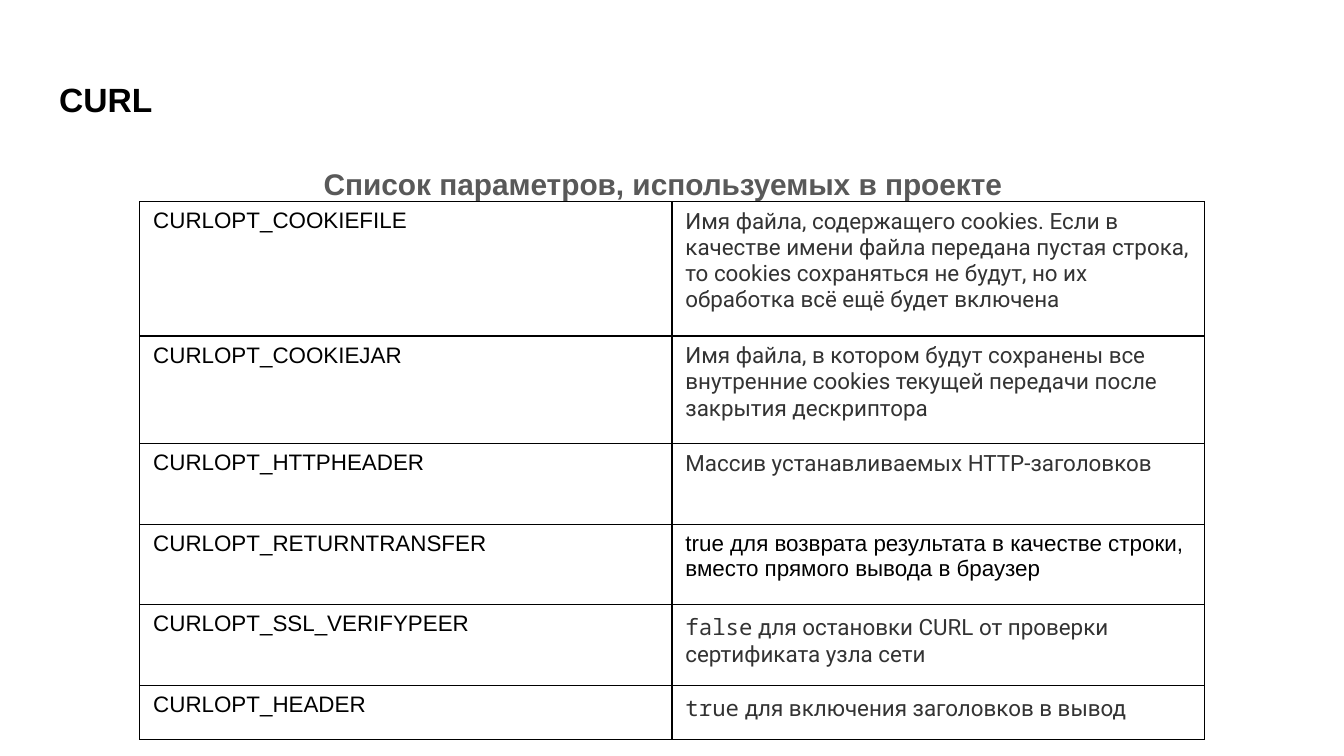
"""Build the CURL slide with its table of project options."""
from lxml import etree
from pptx import Presentation
from pptx import util as u
from pptx.dml.color import RGBColor
from pptx.enum import text
from pptx.oxml import ns

COLORS = {"black": "000000", "dark": "333333", "gray": "595959"}
BODY = ("Roboto", "dark")
CODE = ("Noto Sans Mono", "dark")
PLAIN = ("Arial", "black")

ROWS = [
    (1, "CURLOPT_COOKIEFILE", [(
        "Имя файла, содержащего cookies. Если в качестве имени файла передана "
        "пустая строка, то cookies сохраняться не будут, но их обработка всё "
        "ещё будет включена", BODY)]),
    (0.8, "CURLOPT_COOKIEJAR", [(
        "Имя файла, в котором будут сохранены все внутренние cookies текущей "
        "передачи после закрытия дескриптора", BODY)]),
    (0.6, "CURLOPT_HTTPHEADER", [("Массив устанавливаемых HTTP-заголовков", BODY)]),
    (0.6, "CURLOPT_RETURNTRANSFER", [(
        "true для возврата результата в качестве строки, вместо прямого "
        "вывода в браузер", PLAIN)]),
    (0.6, "CURLOPT_SSL_VERIFYPEER", [
        ("false", CODE),
        (" для остановки CURL от проверки сертификата узла сети", BODY)]),
    (0.4, "CURLOPT_HEADER", [
        ("true", CODE), (" для включения заголовков в вывод", BODY)]),
]


def add_run(para, words, face, color, size, bold=False):
    run = para.add_run()
    run.text = words
    font = run.font
    font.name, font.size, font.bold = face, u.Pt(size), bold
    font.color.rgb = RGBColor.from_string(COLORS[color])


def set_frame(shape, left, top, width, height):
    shape.left, shape.top = u.Inches(left), u.Inches(top)
    shape.width, shape.height = u.Inches(width), u.Inches(height)
    frame = shape.text_frame
    frame.word_wrap = True
    frame.auto_size = text.MSO_AUTO_SIZE.NONE
    frame.vertical_anchor = text.MSO_ANCHOR.TOP
    frame.margin_left = frame.margin_right = u.Inches(0.1)
    frame.margin_top = frame.margin_bottom = u.Inches(0.1)
    para = frame.paragraphs[0]
    para.alignment = text.PP_ALIGN.LEFT
    return para


prs = Presentation()
prs.slide_width = u.Inches(10)
prs.slide_height = prs.slide_width * 9 // 16
slide = prs.slides.add_slide(prs.slide_layouts[5])

para = set_frame(slide.shapes.title, 0.34, 0.49, 9.32, 1.14)
add_run(para, "CURL", "Arial", "black", 18, True)

box = slide.shapes.add_textbox(0, 0, 0, 0)
para = set_frame(box, 2.31, 1.09, 5.38, 3.36)
para.line_spacing = 1.15
para.space_after = u.Pt(12)
add_run(para, "Список параметров, используемых в проекте", "Arial", "gray", 16, True)

table = slide.shapes.add_table(
    len(ROWS), 2, u.Inches(1.04), u.Inches(1.5), u.Inches(7.92), u.Inches(4)).table
table.first_row = table.horz_banding = False

for row, (height, name, about) in zip(table.rows, ROWS):
    row.height = u.Inches(height)
    for cell, runs in zip(row.cells, ([(name, PLAIN)], about)):
        props = cell._tc.get_or_add_tcPr()
        for side in ("lnL", "lnR", "lnT", "lnB"):
            line = etree.SubElement(props, ns.qn(f"a:{side}"), w=str(u.Pt(0.75)))
            fill = etree.SubElement(line, ns.qn("a:solidFill"))
            etree.SubElement(fill, ns.qn("a:srgbClr"), val=COLORS["black"])
        cell.fill.background()
        cell.margin_left = cell.margin_right = u.Inches(0.1)
        cell.margin_top = cell.margin_bottom = u.Inches(0.05)
        for words, (face, color) in runs:
            add_run(cell.text_frame.paragraphs[0], words, face, color, 12)

prs.save("out.pptx")
